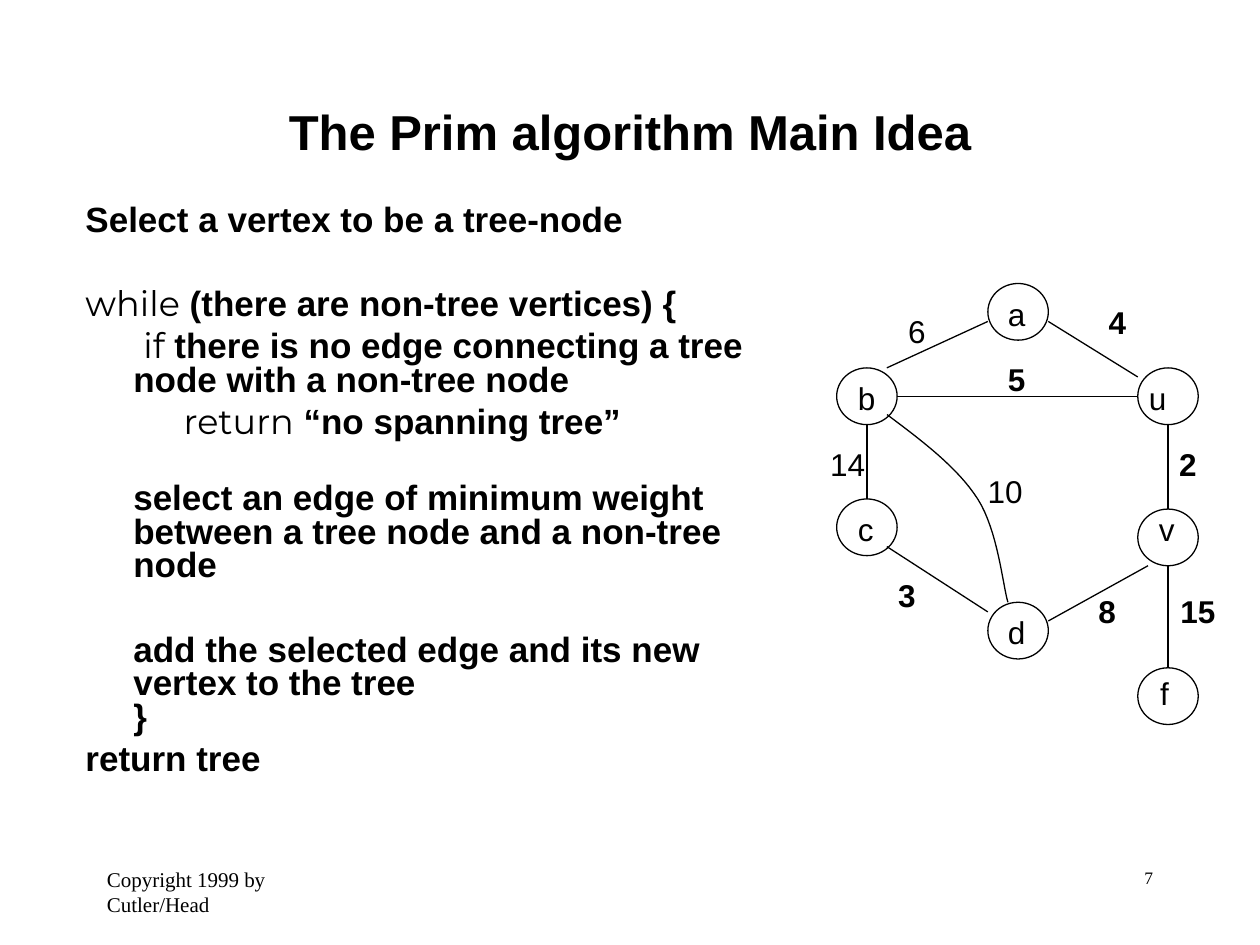
from dataclasses import dataclass

from lxml import etree
from pptx import Presentation
from pptx.dml.color import RGBColor
from pptx.enum.shapes import MSO_CONNECTOR, MSO_SHAPE
from pptx.enum.text import MSO_ANCHOR, PP_ALIGN
from pptx.oxml.ns import qn
from pptx.util import Inches, Pt

ELLIPSE = MSO_SHAPE.OVAL
STRAIGHT = MSO_CONNECTOR.STRAIGHT
MIDDLE = MSO_ANCHOR.MIDDLE
LEFT, CENTER, RIGHT = PP_ALIGN.LEFT, PP_ALIGN.CENTER, PP_ALIGN.RIGHT
TITLE_ONLY = 5


@dataclass(frozen=True)
class Theme:
    ink: RGBColor = RGBColor(0, 0, 0)
    sans: str = "Arial"
    keyword: str = "Montserrat"
    serif: str = "Times New Roman"
    title: int = 28
    body: int = 20
    label: int = 18
    footer: int = 12
    number: int = 10
    line: float = 0.75
    leading: float = 0.8


THEME = Theme()

# Graph grid: column and row positions, and the vertex size, in inches
COLS = (6.64, 7.84, 9.03)
ROWS = (2.25, 2.92, 3.96, 4.04, 4.78, 5.3)
VERTEX_W, VERTEX_H = 0.48, 0.45

# Vertex: column, row, offset of its label box
VERTICES = {
    "a": (1, 0, 0.06, 0.04),
    "b": (0, 1, 0.07, 0.04),
    "u": (2, 1, -0.01, 0.04),
    "c": (0, 2, 0.07, 0.04),
    "v": (2, 3, 0.07, -0.04),
    "d": (1, 4, 0.06, 0.04),
    "f": (2, 5, 0.08, 0),
}

# Edge: two vertices, each with the anchor as a share of the vertex size
EDGES = (
    ("b", (0.5, 1), "c", (0.5, 0)),
    ("b", (0.83, 0), "a", (0, 0.67)),
    ("c", (0.83, 0.84), "d", (0, 0.17)),
    ("d", (1, 0.33), "v", (0.17, 1)),
    ("a", (1, 0.67), "u", (0, 0.16)),
    ("u", (0.5, 1), "v", (0.5, 0)),
    ("b", (1, 0.5), "u", (0, 0.5)),
    ("v", (0.5, 1), "f", (0.5, 0)),
)

# Curved edge b-d: two Bezier segments
CURVE = (
    ((7.04, 3.29), (7.32, 3.5), (7.6, 3.71), (7.76, 3.96)),
    ((7.76, 3.96), (7.92, 4.21), (7.96, 4.65), (8, 4.78)),
)

# Weight: text, left, top, bold
WEIGHTS = (
    ("6", 7.11, 2.43, False), ("4", 8.7, 2.36, True),
    ("5", 7.9, 2.81, True), ("2", 9.26, 3.48, True),
    ("15", 9.27, 4.65, True), ("8", 8.62, 4.65, True),
    ("10", 7.74, 3.7, False), ("14", 6.49, 3.48, False),
    ("3", 7.03, 4.52, True),
)

# Pseudocode: left margin, first-line indent, space before, keyword, lines
HANG = 0.38
PSEUDOCODE = (
    (HANG, -HANG, 0, "", ["Select a vertex to be a tree-node"]),
    (HANG, -HANG, 29, "while", [" (there are non-tree vertices) {"]),
    (HANG, 0.08, 5, "if",
     [" there is no edge connecting a tree node with a non-tree node"]),
    (HANG, 0.4, 5, "return", [" “no spanning tree”"]),
    (HANG, 0, 24, "",
     ["select an edge of minimum weight between a tree node and a non-tree node"]),
    (HANG, 0, 29, "",
     ["add the selected edge and its new vertex to the tree", "}"]),
    (HANG, -HANG, 5, "", ["return tree"]),
)


def set_font(font, size, name=THEME.sans, bold=False):
    font.size, font.name, font.bold = Pt(size), name, bold
    font.color.rgb = THEME.ink


def add_text(shapes, text, box, size, name=THEME.sans, bold=False,
             align=LEFT, wrap=True):
    tf = shapes.add_textbox(*map(Inches, box)).text_frame
    tf.word_wrap = wrap
    p = tf.paragraphs[0]
    p.text, p.alignment = text, align
    set_font(p.font, size, name, bold)


def add_label(shapes, text, x, y, bold=False):
    width = 0.2 + 0.14 * len(text)
    add_text(shapes, text, (x, y, width, 0.4), THEME.label, bold=bold, wrap=False)


def style_line(shape):
    shape.line.color.rgb = THEME.ink
    shape.line.width = Pt(THEME.line)


def set_title(s, text):
    title = s.shapes.title
    title.left, title.top = Inches(0.75), Inches(0.5)
    title.width, title.height = Inches(8.5), Inches(1.08)
    tf = title.text_frame
    tf.vertical_anchor = MIDDLE
    p = tf.paragraphs[0]
    p.text, p.alignment = text, CENTER
    set_font(p.font, THEME.title, bold=True)


def add_sized_break(p, size):
    p.add_line_break()
    etree.SubElement(p._p[-1], qn("a:rPr"), sz=str(size * 100))


def add_pseudocode(s):
    box = s.shapes.add_textbox(Inches(0.58), Inches(1.58), Inches(5.67), Inches(5))
    tf = box.text_frame
    tf.word_wrap = True
    for i, (margin, indent, before, keyword, lines) in enumerate(PSEUDOCODE):
        p = tf.add_paragraph() if i else tf.paragraphs[0]
        pPr = p._p.get_or_add_pPr()
        pPr.set("marL", str(Inches(margin)))
        pPr.set("indent", str(Inches(indent)))
        p.line_spacing, p.space_before = THEME.leading, Pt(before)
        set_font(p.font, THEME.body, bold=True)
        if keyword:
            r = p.add_run()
            r.text = keyword
            r.font.name, r.font.bold = THEME.keyword, False
        for j, line in enumerate(lines):
            if j:
                add_sized_break(p, THEME.body)
            p.add_run().text = line


def anchor_point(vertex, share):
    col, row = VERTICES[vertex][:2]
    return (Inches(COLS[col] + share[0] * VERTEX_W),
            Inches(ROWS[row] + share[1] * VERTEX_H))


def add_vertex(shapes, vertex):
    x, y = anchor_point(vertex, (0, 0))
    sp = shapes.add_shape(ELLIPSE, x, y, Inches(VERTEX_W), Inches(VERTEX_H))
    sp.shadow.inherit = False
    sp.fill.background()
    style_line(sp)


def add_edge(shapes, start, start_share, end, end_share):
    edge = shapes.add_connector(STRAIGHT, *anchor_point(start, start_share),
                                *anchor_point(end, end_share))
    style_line(edge)
    etree.SubElement(edge._element.spPr, qn("a:effectLst"))


def bezier(points, t):
    weights = ((1 - t) ** 3, 3 * t * (1 - t) ** 2, 3 * t * t * (1 - t), t ** 3)
    return tuple(Inches(sum(w * p[k] for w, p in zip(weights, points)))
                 for k in (0, 1))


def add_curved_edge(shapes, segments, steps=16):
    # Points are whole EMU, since the builder rounds its coordinates
    points = [bezier(seg, i / steps) for seg in segments for i in range(1, steps + 1)]
    builder = shapes.build_freeform(*bezier(segments[0], 0))
    builder.add_line_segments(points, close=False)
    sp = builder.convert_to_shape()
    sp.shadow.inherit = False
    sp.fill.background()
    style_line(sp)


def add_graph(s):
    shapes = s.shapes.add_group_shape().shapes
    for vertex in VERTICES:
        add_vertex(shapes, vertex)
    for edge in EDGES:
        add_edge(shapes, *edge)
    add_curved_edge(shapes, CURVE)
    for weight in WEIGHTS:
        add_label(shapes, *weight)
    for name, (col, row, dx, dy) in VERTICES.items():
        add_label(shapes, name, COLS[col] + dx, ROWS[row] + dy)


def main():
    prs = Presentation()
    prs.slide_width, prs.slide_height = Inches(10), Inches(7.5)
    s = prs.slides.add_slide(prs.slide_layouts[TITLE_ONLY])
    set_title(s, "The Prim algorithm Main Idea")
    add_pseudocode(s)
    add_graph(s)
    # Footer
    add_text(s.shapes, "7", (7.17, 6.83, 2.08, 0.5), THEME.number, THEME.serif, align=RIGHT)
    add_text(s.shapes, "Copyright 1999 by Cutler/Head", (0.75, 6.83, 2.08, 0.5),
             THEME.footer, THEME.serif)
    prs.save("out.pptx")


if __name__ == "__main__":
    main()
